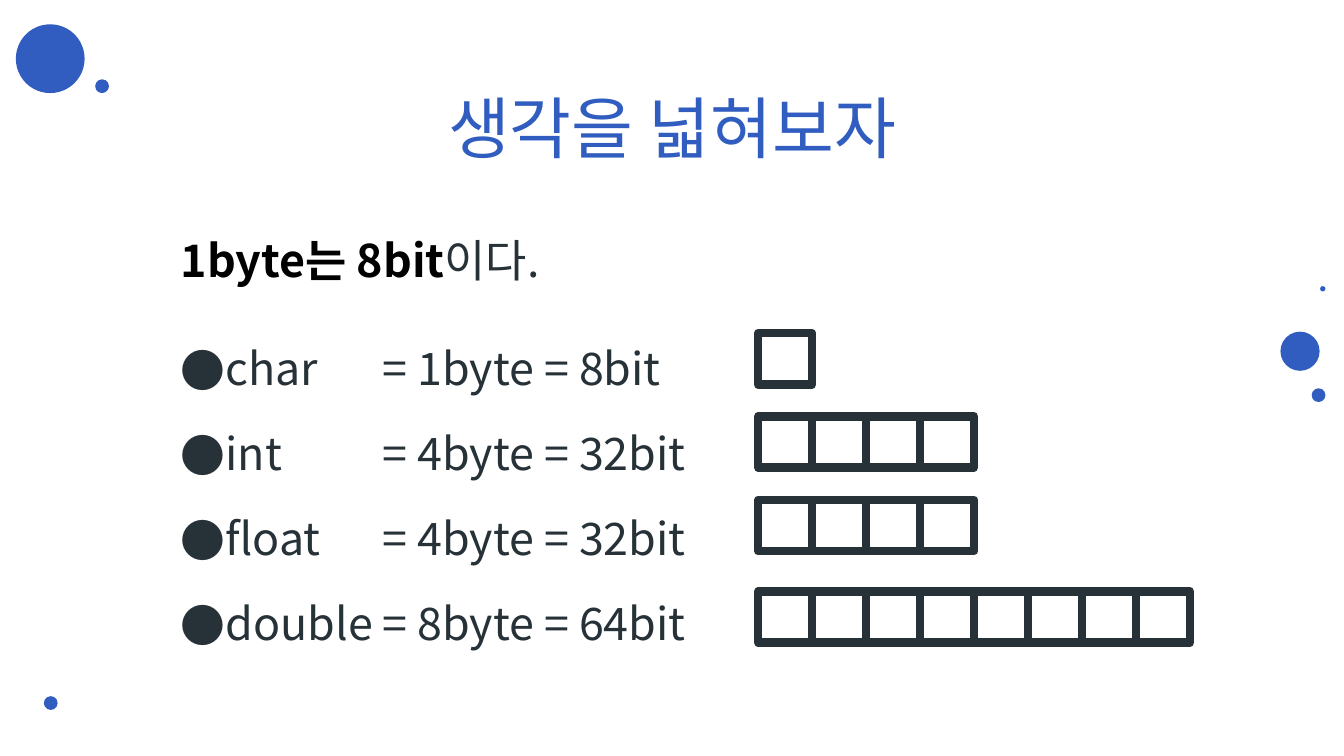
from lxml import etree
from pptx import Presentation
from pptx.dml.color import RGBColor
from pptx.enum.shapes import MSO_SHAPE
from pptx.enum.text import MSO_ANCHOR, PP_ALIGN
from pptx.oxml.ns import qn
from pptx.util import Cm, Pt

OVAL, RECTANGLE = MSO_SHAPE.OVAL, MSO_SHAPE.RECTANGLE
TOP = MSO_ANCHOR.TOP
LEFT, CENTER = PP_ALIGN.LEFT, PP_ALIGN.CENTER
FONT = "Noto Sans CJK KR"
COLORS = {"blue": "305DBF", "ink": "263238", "black": "000000", "white": "FFFFFF"}
TITLE_ONLY = 5

DOTS = [
    (0.3, 0.46, 1.3), (1.8, 1.5, 0.26), (24.2, 6.27, 0.74),
    (24.79, 7.34, 0.26), (24.95, 5.41, 0.1), (0.83, 13.16, 0.26),
]
TYPES = [
    ("char", 1, 6.3), ("int", 4, 7.87), ("float", 4, 9.45), ("double", 8, 11.18),
]


def color(name):
    """Return the palette colour with this name."""
    return RGBColor.from_string(COLORS[name])


def write(paragraph, text, size=24, ink="ink", bold=False):
    """Add a formatted run to a paragraph."""
    run = paragraph.add_run()
    run.text = text
    run.font.size = Pt(size)
    run.font.bold = bold
    run.font.name = FONT
    run.font.color.rgb = color(ink)
    east_asian = etree.SubElement(run.font._element, qn("a:ea"))
    east_asian.set("typeface", FONT)


def set_bullet(paragraph, margin, hanging, tab):
    """Give a paragraph a round bullet, a hanging indent and a tab stop."""
    properties = paragraph._p.get_or_add_pPr()
    properties.set("marL", str(Cm(margin)))
    properties.set("indent", str(-Cm(hanging)))
    bullet_color = etree.SubElement(properties, qn("a:buClr"))
    etree.SubElement(bullet_color, qn("a:srgbClr")).set("val", COLORS["ink"])
    etree.SubElement(properties, qn("a:buFont")).set("typeface", FONT)
    etree.SubElement(properties, qn("a:buChar")).set("char", "●")
    tabs = etree.SubElement(properties, qn("a:tabLst"))
    stop = etree.SubElement(tabs, qn("a:tab"))
    stop.set("pos", str(Cm(tab)))
    stop.set("algn", "l")


def place(shape, left, top, width, height):
    """Move a text shape to its box and set up its frame."""
    shape.left, shape.top = Cm(left), Cm(top)
    shape.width, shape.height = Cm(width), Cm(height)
    frame = shape.text_frame
    frame.word_wrap = True
    frame.vertical_anchor = TOP
    frame.margin_left = frame.margin_right = Cm(0.25)
    frame.margin_top = frame.margin_bottom = Cm(0.25)
    return frame


def add_figure(slide, kind, left, top, width, height, fill, line=None):
    """Add a flat filled shape with an optional thick outline."""
    shape = slide.shapes.add_shape(kind, Cm(left), Cm(top), Cm(width), Cm(height))
    shape.shadow.inherit = False
    shape.fill.solid()
    shape.fill.fore_color.rgb = color(fill)
    if line:
        shape.line.color.rgb = color(line)
        shape.line.width = Pt(4.5)
    else:
        shape.line.fill.background()


def add_dots(slide):
    """Scatter the decorative dots along the slide edges."""
    for left, top, size in DOTS:
        add_figure(slide, OVAL, left, top, size, size, "blue")


def add_title(slide, left, top, width, height):
    """Fill the title placeholder."""
    paragraph = place(slide.shapes.title, left, top, width, height).paragraphs[0]
    paragraph.alignment = CENTER
    paragraph.line_spacing = Pt(47)
    write(paragraph, "생각을 넓혀보자", size=36, ink="blue")


def add_type_list(slide, left, top, width, height):
    """Write the lead sentence and the size of each data type."""
    box = slide.shapes.add_textbox(0, 0, 0, 0)
    frame = place(box, left, top, width, height)
    lead = frame.paragraphs[0]
    lead.alignment = LEFT
    lead.line_spacing = Pt(30)
    lead._p.get_or_add_pPr().set("marL", str(Cm(1.27)))
    write(lead, "1byte는 8bit", ink="black", bold=True)
    write(lead, "이다.")
    for index, (name, size, _) in enumerate(TYPES):
        paragraph = frame.add_paragraph()
        paragraph.alignment = LEFT
        paragraph.line_spacing = Pt(30)
        paragraph.space_before = Pt(15.5 if index else 28)
        set_bullet(paragraph, margin=2.06, hanging=0.79, tab=5.08)
        write(paragraph, f"{name}\t= {size}byte = {size * 8}bit")


def add_byte_cells(slide, left, width, height):
    """Draw one row of cells per data type, one cell for each byte."""
    for _, size, top in TYPES:
        for index in range(size):
            add_figure(slide, RECTANGLE, left + index * width, top, width, height,
                       "white", line="ink")


def main():
    """Build the slide and save it."""
    presentation = Presentation()
    presentation.slide_width, presentation.slide_height = Cm(25.4), Cm(14.29)
    slide = presentation.slides.add_slide(presentation.slide_layouts[TITLE_ONLY])
    add_dots(slide)
    add_title(slide, 1.9, 1.25, 21.6, 1.6)
    add_type_list(slide, 1.9, 4.11, 21.6, 8.94)
    add_byte_cells(slide, 14.33, 1.02, 0.97)
    presentation.save("out.pptx")


if __name__ == "__main__":
    main()
